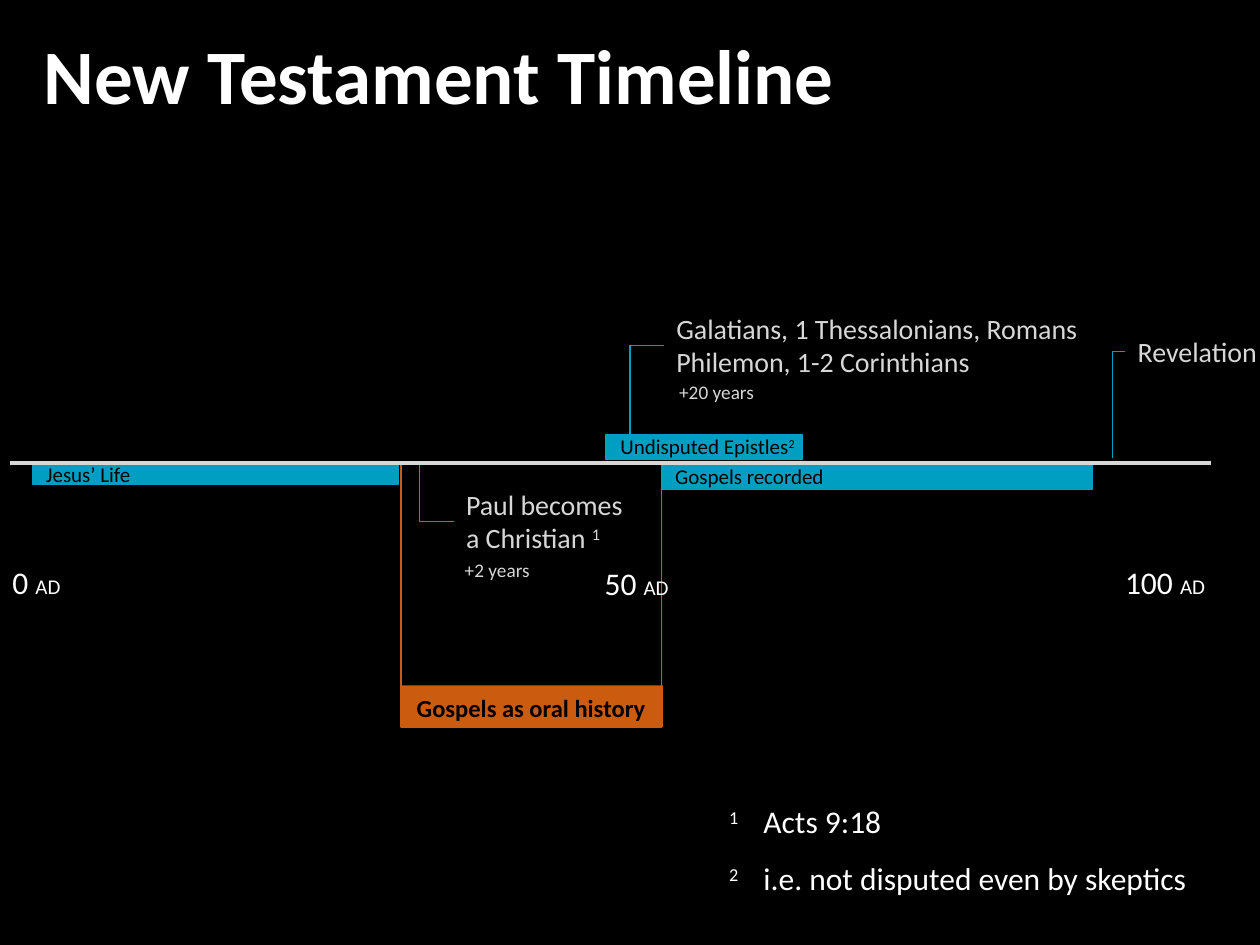
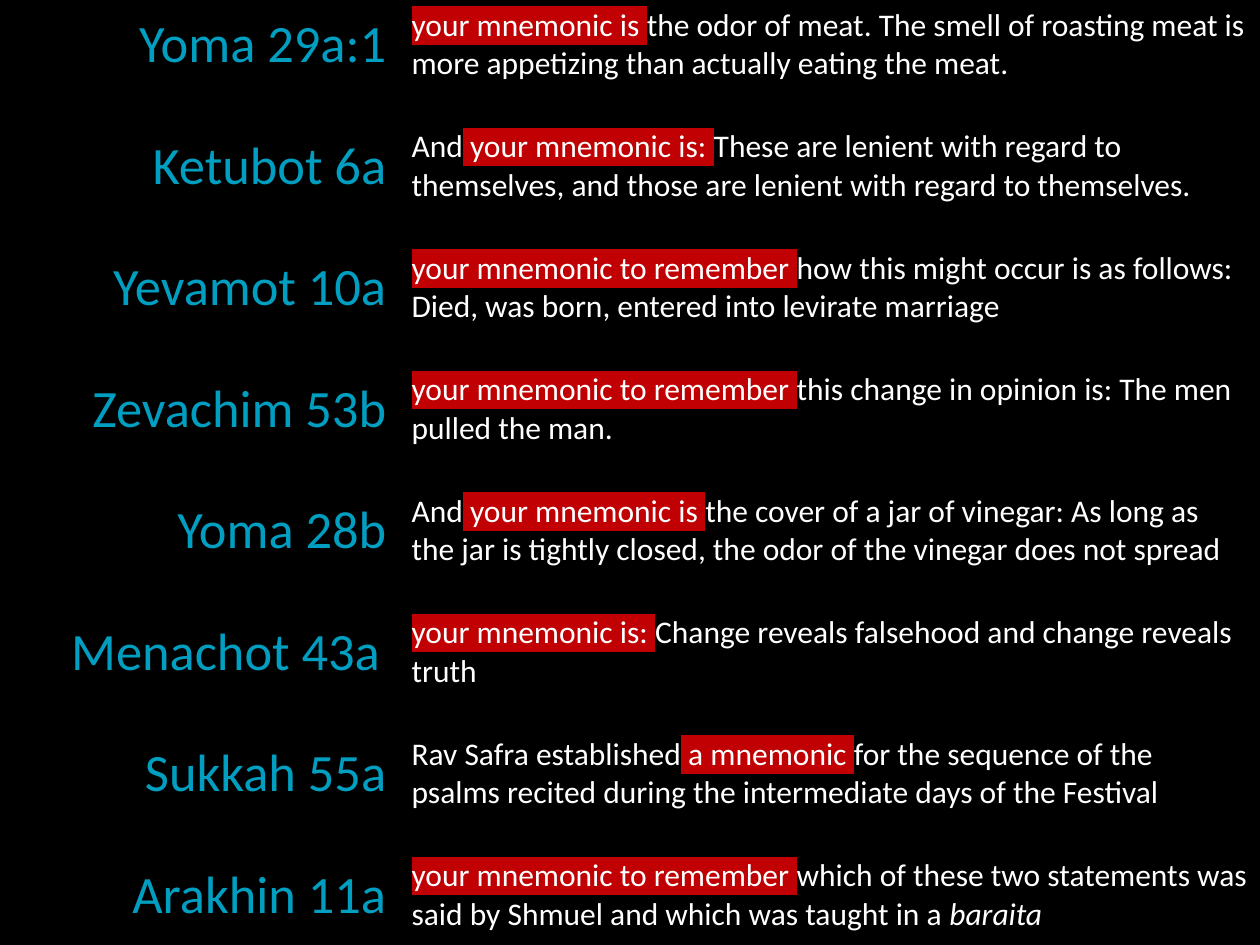
import pptx
import pptx.dml.color
import pptx.enum.shapes
import pptx.enum.text
import pptx.oxml.ns
import pptx.util
from lxml import etree

Pt = pptx.util.Pt
RGBColor = pptx.dml.color.RGBColor
Align = pptx.enum.text.PP_ALIGN
Connector = pptx.enum.shapes.MSO_CONNECTOR
qn = pptx.oxml.ns.qn

BLACK = RGBColor(0x00, 0x00, 0x00)
WHITE = RGBColor(0xFF, 0xFF, 0xFF)
GREY = RGBColor(0xD7, 0xD7, 0xD7)
TEAL = RGBColor(0x00, 0x9E, 0xC0)
ORANGE = RGBColor(0xCB, 0x5B, 0x0E)
RED = RGBColor(0xC0, 0x00, 0x02)
FONT = "Calibri"
PLAIN_TABLE_STYLE = "{2D5ABB26-0587-4C30-8999-92F81FD0307C}"


def add_run(paragraph, text, size, color, bold=False, italic=False,
            superscript=False, highlight=None):
    run = paragraph.add_run()
    run.text = text
    run.font.size = Pt(size)
    run.font.bold = bold
    run.font.italic = italic
    run.font.color.rgb = color
    properties = run._r.get_or_add_rPr()
    if superscript:
        properties.set("baseline", "30000")
    if highlight is not None:
        mark = etree.SubElement(properties, qn("a:highlight"))
        etree.SubElement(mark, qn("a:srgbClr")).set("val", str(highlight))
    run.font.name = FONT


def add_plain_row(slide, left, top, widths, height):
    """Add a one-row table without fills or borders and return its cells."""
    table = slide.shapes.add_table(
        1, len(widths), Pt(left), Pt(top), Pt(sum(widths)), Pt(height)).table
    table.first_row = False
    table.horz_banding = False
    table._tbl.tblPr.find(qn("a:tableStyleId")).text = PLAIN_TABLE_STYLE
    for column, width in zip(table.columns, widths):
        column.width = Pt(width)
    cells = list(table.rows[0].cells)
    for cell in cells:
        cell.fill.background()
    return cells


presentation = pptx.Presentation()
presentation.slide_width = Pt(720)
presentation.slide_height = Pt(540)
slides = []
for number in range(2):
    slide = presentation.slides.add_slide(presentation.slide_layouts[6])
    slide.background.fill.solid()
    slide.background.fill.fore_color.rgb = BLACK
    slides.append(slide)
timeline_slide, mnemonic_slide = slides

# Timeline: bars as left, top, width, height, fill, line, line width
AXIS_TOP = 264.5
bars = [
    (229, 391.7, 149.8, 23.8, ORANGE, None, 0),
    (229, AXIS_TOP, 149, 151, None, ORANGE, 1),
    (378, 265, 246.2, 14.4, TEAL, TEAL, 0.75),
    (18.7, AXIS_TOP, 209, 12.2, TEAL, TEAL, 0.75),
    (346.3, 248.4, 112, 14.4, TEAL, TEAL, 0.75),
]
for left, top, width, height, fill, line, line_width in bars:
    bar = timeline_slide.shapes.add_shape(
        pptx.enum.shapes.MSO_SHAPE.RECTANGLE,
        Pt(left), Pt(top), Pt(width), Pt(height))
    bar.shadow.inherit = False
    if fill is None:
        bar.fill.background()
    else:
        bar.fill.solid()
        bar.fill.fore_color.rgb = fill
    if line is None:
        bar.line.fill.background()
    else:
        bar.line.color.rgb = line
        bar.line.width = Pt(line_width)

# Labels: left, top, width, height, wrap, colour, bold, paragraphs of
# (text, size, superscript)
labels = [
    (18, 12.2, 678, 60.5, True, WHITE, True,
     [[("New Testament Timeline", 44, False)]]),
    (229, 392.4, 149, 24.5, True, BLACK, True,
     [[("Gospels as oral history", 14, False)]]),
    (378.7, 261.2, 134, 21.6, True, BLACK, False,
     [[("Gospels recorded", 12, False)]]),
    (19.2, 260, 169, 21.6, True, BLACK, False,
     [[("Jesus’ Life", 12, False)]]),
    (347.4, 244.3, 120, 21.6, True, BLACK, False,
     [[("Undisputed Epistles", 12, False), ("2", 12, True)]]),
    (259.2, 275, 106.6, 46, True, GREY, False,
     [[("Paul becomes a Christian ", 16, False), ("1", 16, True)]]),
    (258.5, 315.7, 52.6, 20.6, False, GREY, False,
     [[("+2 years", 11, False)]]),
    (379.4, 174.2, 245, 46, True, GREY, False,
     [[("Galatians, 1 Thessalonians, Romans", 16, False)],
      [("Philemon, 1-2 Corinthians", 16, False)]]),
    (381, 214, 58.3, 20.6, False, GREY, False,
     [[("+20 years", 11, False)]]),
    (643, 187.9, 85.7, 26.6, True, GREY, False,
     [[("Revelation", 16, False)]]),
]
for year, left, top, width in [("0", 0, 318.2, 42.5), ("50", 338.4, 319, 51.8),
                               ("100", 635.8, 318.2, 60.5)]:
    labels.append((left, top, width, 28.8, False, WHITE, False,
                   [[(year + " ", 18, False), ("AD", 12, False)]]))

for left, top, width, height, wrap, color, bold, paragraphs in labels:
    box = timeline_slide.shapes.add_textbox(
        Pt(left), Pt(top), Pt(width), Pt(height))
    frame = box.text_frame
    frame.word_wrap = wrap
    for index, runs in enumerate(paragraphs):
        paragraph = frame.add_paragraph() if index else frame.paragraphs[0]
        if bold and color == BLACK:
            paragraph.alignment = Align.CENTER
        for text, size, superscript in runs:
            add_run(paragraph, text, size, color, bold, superscript=superscript)

# Lines: kind, x and y at the axis, x and y at the far end, colour, width
lines = [
    (Connector.ELBOW, 239.8, 265, 259.2, 297.8, TEAL, 0.75),
    (Connector.ELBOW, 360, 248.4, 379.4, 197.3, TEAL, 0.75),
    (Connector.ELBOW, 635.8, 261.4, 643, 201, TEAL, 0.75),
    (Connector.STRAIGHT, 5.8, AXIS_TOP, 692, AXIS_TOP, GREY, 2),
]
for kind, begin_x, begin_y, end_x, end_y, color, width in lines:
    connector = timeline_slide.shapes.add_connector(
        kind, Pt(begin_x), Pt(begin_y), Pt(end_x), Pt(end_y))
    connector.line.color.rgb = color
    connector.line.width = Pt(width)
    properties = connector._element.spPr
    etree.SubElement(properties, qn("a:effectLst"))
    if kind == Connector.ELBOW:
        # A half turn puts the single corner above or below the axis point
        properties.find(qn("a:prstGeom")).set("prst", "bentConnector2")
        properties.find(qn("a:xfrm")).set("rot", "10800000")

footnotes = [("1", "Acts 9:18", 455.8),
             ("2", "i.e. not disputed even by skeptics", 488.2)]
for mark, note, top in footnotes:
    mark_cell, note_cell = add_plain_row(
        timeline_slide, 402.5, top, [26.6, 278.6], 29.5)
    mark_paragraph = mark_cell.text_frame.paragraphs[0]
    mark_paragraph.alignment = Align.RIGHT
    add_run(mark_paragraph, mark, 18, WHITE, superscript=True)
    add_run(note_cell.text_frame.paragraphs[0], note, 18, WHITE)

# Mnemonics: tractate, alignment, words before, highlighted, after, in italics
mnemonics = [
    ("Yoma 29a:1", Align.RIGHT, "", "your mnemonic is ",
     "the odor of meat. The smell of roasting meat is more appetizing than "
     "actually eating the meat.", ""),
    ("Ketubot 6a", Align.RIGHT, "And", " your mnemonic is: ",
     "These are lenient with regard to themselves, and those are lenient "
     "with regard to themselves.", ""),
    ("Yevamot 10a", Align.RIGHT, "", "your mnemonic to remember ",
     "how this might occur is as follows: Died, was born, entered into "
     "levirate marriage", ""),
    ("Zevachim 53b", Align.RIGHT, "", "your mnemonic to remember ",
     "this change in opinion is: The men pulled the man.", ""),
    ("Yoma 28b", Align.RIGHT, "And", " your mnemonic is ",
     "the cover of a jar of vinegar: As long as the jar is tightly closed, "
     "the odor of the vinegar does not spread", ""),
    ("Menachot 43a", Align.CENTER, "", "your mnemonic is: ",
     "Change reveals falsehood and change reveals truth", ""),
    ("Sukkah 55a", Align.RIGHT, "Rav Safra established", " a mnemonic ",
     "for the sequence of the psalms recited during the intermediate days "
     "of the Festival", ""),
    ("Arakhin 11a", Align.RIGHT, "", "your mnemonic to remember ",
     "which of these two statements was said by Shmuel and which was taught "
     "in a ", "baraita"),
]
ROW_STEP = 69.43
for index, (tractate, alignment, before, marked, after, term) in enumerate(mnemonics):
    tractate_cell, quote_cell = add_plain_row(
        mnemonic_slide, 30, index * ROW_STEP, [198, 492], 50.4)
    tractate_cell.vertical_anchor = pptx.enum.text.MSO_ANCHOR.MIDDLE
    tractate_paragraph = tractate_cell.text_frame.paragraphs[0]
    tractate_paragraph.alignment = alignment
    add_run(tractate_paragraph, tractate, 30, TEAL)
    quote = quote_cell.text_frame.paragraphs[0]
    if before:
        add_run(quote, before, 18, WHITE)
    add_run(quote, marked, 18, WHITE, highlight=RED)
    add_run(quote, after, 18, WHITE)
    if term:
        add_run(quote, term, 18, WHITE, italic=True)

presentation.save("out.pptx")
